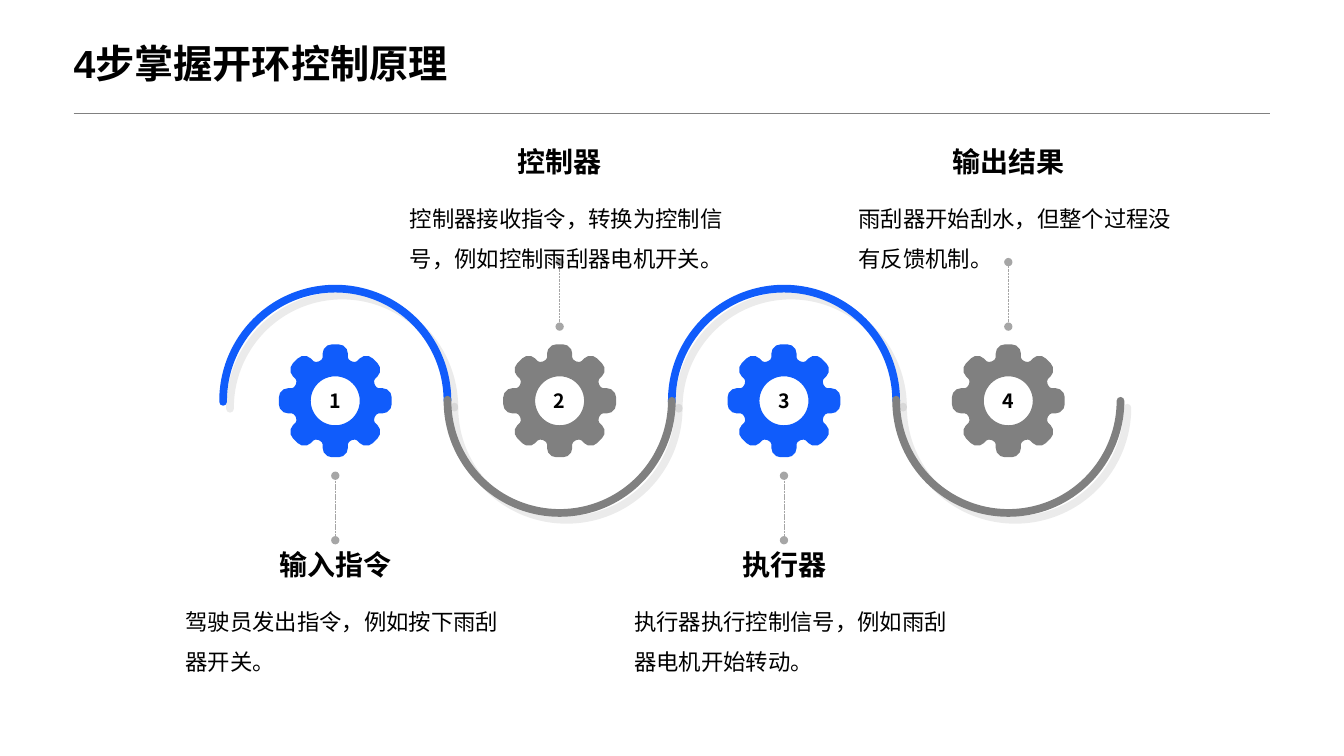
from dataclasses import dataclass
from math import cos, pi, sin

from lxml.etree import SubElement
from pptx import Presentation
from pptx.dml.color import RGBColor
from pptx.enum.dml import MSO_LINE
from pptx.enum.shapes import MSO_CONNECTOR, MSO_SHAPE
from pptx.enum.text import MSO_ANCHOR, MSO_AUTO_SIZE, PP_ALIGN
from pptx.oxml.ns import qn
from pptx.util import Pt

COLORS = {"blue": "105CFB", "gray": "808080", "dot": "A6A6A6", "text": "000000"}
CJK_FONT = "Noto Sans CJK SC"
FIRST_CENTER, PITCH, CENTER_Y = 239.5, 160.25, 286.3
TOOTH_COUNT, HOLE_RADIUS = 8, 17.5


@dataclass(frozen=True)
class Step:
    number: int
    heading: str
    body: str

    @property
    def center(self) -> float:
        return FIRST_CENTER + (self.number - 1) * PITCH

    @property
    def text_above(self) -> bool:
        return self.number % 2 == 0

    @property
    def color(self) -> str:
        return "gray" if self.text_above else "blue"


STEPS = [
    Step(1, "输入指令", "驾驶员发出指令，例如按下雨刮器开关。"),
    Step(2, "控制器", "控制器接收指令，转换为控制信号，例如控制雨刮器电机开关。"),
    Step(3, "执行器", "执行器执行控制信号，例如雨刮器电机开始转动。"),
    Step(4, "输出结果", "雨刮器开始刮水，但整个过程没有反馈机制。"),
]


def rgb(name: str) -> RGBColor:
    return RGBColor.from_string(COLORS[name])


def write_text(shape, text: str, *, size: float, bold=False, font="Arial",
               align=PP_ALIGN.LEFT, anchor=MSO_ANCHOR.TOP, spacing=None) -> None:
    frame = shape.text_frame
    frame.word_wrap = True
    frame.vertical_anchor = anchor
    paragraph = frame.paragraphs[0]
    paragraph.alignment = align
    paragraph.line_spacing = spacing
    run = paragraph.add_run()
    run.text = text
    run.font.size = Pt(size)
    run.font.bold = bold
    run.font.name = font
    run.font.color.rgb = rgb("text")
    SubElement(run.font._element, qn("a:ea"), typeface=CJK_FONT)


def add_text(slide, text: str, left: float, top: float, width: float, height: float, **text_format):
    box = slide.shapes.add_textbox(Pt(left), Pt(top), Pt(width), Pt(height))
    write_text(box, text, **text_format)
    return box


def add_line(slide, x1: float, y1: float, x2: float, y2: float, color: str):
    line = slide.shapes.add_connector(MSO_CONNECTOR.STRAIGHT, Pt(x1), Pt(y1), Pt(x2), Pt(y2))
    line.line.width = Pt(0.25)
    line.line.color.rgb = rgb(color)
    SubElement(line._element.spPr, qn("a:effectLst"))
    return line


def add_dotted_link(slide, x: float, top: float) -> None:
    link = add_line(slide, x, top, x, top + 46.1, "dot")
    link.line.dash_style = MSO_LINE.SQUARE_DOT
    for end in ("a:headEnd", "a:tailEnd"):
        SubElement(link.line._ln, qn(end), type="oval")


def add_half_wave(slide, step: Step) -> None:
    """Draw the half circle around a step, bulging up or down."""
    arc = slide.shapes.add_shape(
        MSO_SHAPE.ARC, Pt(step.center - PITCH / 2), Pt(CENTER_Y - PITCH / 2), Pt(PITCH), Pt(PITCH))
    arc.adjustments[0] = 107.66
    arc.adjustments[1] = 0
    if step.text_above:
        arc._element.spPr.xfrm.set("flipV", "1")
    arc.fill.background()
    arc.line.width = Pt(5.5)
    arc.line.color.rgb = rgb(step.color)
    arc.line._ln.set("cap", "rnd")
    effects = SubElement(arc._element.spPr, qn("a:effectLst"))
    shadow = SubElement(effects, qn("a:outerShdw"), blurRad="0", dist=str(Pt(7)),
                        dir="2700000", algn="tl", rotWithShape="0")
    shadow_color = SubElement(shadow, qn("a:srgbClr"), val=COLORS["text"])
    SubElement(shadow_color, qn("a:alpha"), val="8000")


def gear_outline() -> list[tuple[float, float]]:
    """Turn one tooth, pointing up from the gear's center, around that center."""
    right_half = [(2.5, -40.3), (5.6, -39.5), (8.2, -36.9), (9, -33.8),
                  (9, -31), (9.7, -29.5), (11.2, -28.4)]
    tooth = [(-x, y) for x, y in reversed(right_half)] + right_half
    angles = [2 * pi * index / TOOTH_COUNT for index in range(TOOTH_COUNT)]
    return [(x * cos(a) - y * sin(a), x * sin(a) + y * cos(a)) for a in angles for x, y in tooth]


def cut_round_hole(gear) -> None:
    path = gear._element.spPr.find(".//" + qn("a:path"))
    radius = Pt(HOLE_RADIUS)
    start = SubElement(path, qn("a:moveTo"))
    SubElement(start, qn("a:pt"), x=str(gear.width // 2 + radius), y=str(gear.height // 2))
    SubElement(path, qn("a:arcTo"), wR=str(radius), hR=str(radius), stAng="0", swAng="21600000")
    SubElement(path, qn("a:close"))


def add_gear(slide, step: Step) -> None:
    outline = [(Pt(step.center + x), Pt(CENTER_Y + y)) for x, y in gear_outline()]
    builder = slide.shapes.build_freeform(*outline[0])
    builder.add_line_segments(outline[1:], close=True)
    gear = builder.convert_to_shape()
    cut_round_hole(gear)
    gear.shadow.inherit = False
    gear.fill.solid()
    gear.fill.fore_color.rgb = rgb(step.color)
    gear.line.fill.background()
    write_text(gear, str(step.number), size=14, bold=True, font=CJK_FONT,
               align=PP_ALIGN.CENTER, anchor=MSO_ANCHOR.MIDDLE)


def add_step(slide, step: Step) -> None:
    link_top, heading_top = (187.2, 99.4) if step.text_above else (339.8, 387.4)
    left = step.center - 114
    add_dotted_link(slide, step.center, link_top)
    body = add_text(slide, step.body, left, heading_top + 33.8, 242, 62,
                    size=16, font=CJK_FONT, spacing=1.5)
    heading = add_text(slide, step.heading, left, heading_top, 228.2, 31.7, size=20,
                       bold=True, align=PP_ALIGN.CENTER, anchor=MSO_ANCHOR.MIDDLE)
    for box in (body, heading):
        box.text_frame.auto_size = MSO_AUTO_SIZE.SHAPE_TO_FIT_TEXT
    add_half_wave(slide, step)
    add_gear(slide, step)


def main() -> None:
    presentation = Presentation()
    presentation.slide_width, presentation.slide_height = Pt(960), Pt(540)
    slide = presentation.slides.add_slide(presentation.slide_layouts[6])
    add_line(slide, 52.6, 80.8, 907.2, 80.8, "gray")
    for step in sorted(STEPS, key=lambda step: step.text_above):
        add_step(slide, step)
    title = add_text(slide, "4步掌握开环控制原理", 52.6, 0, 854.6, 80.8, size=28,
                     bold=True, anchor=MSO_ANCHOR.MIDDLE, spacing=1.25)
    frame = title.text_frame
    frame.margin_left = frame.margin_top = frame.margin_right = frame.margin_bottom = 0
    presentation.save("out.pptx")


if __name__ == "__main__":
    main()
